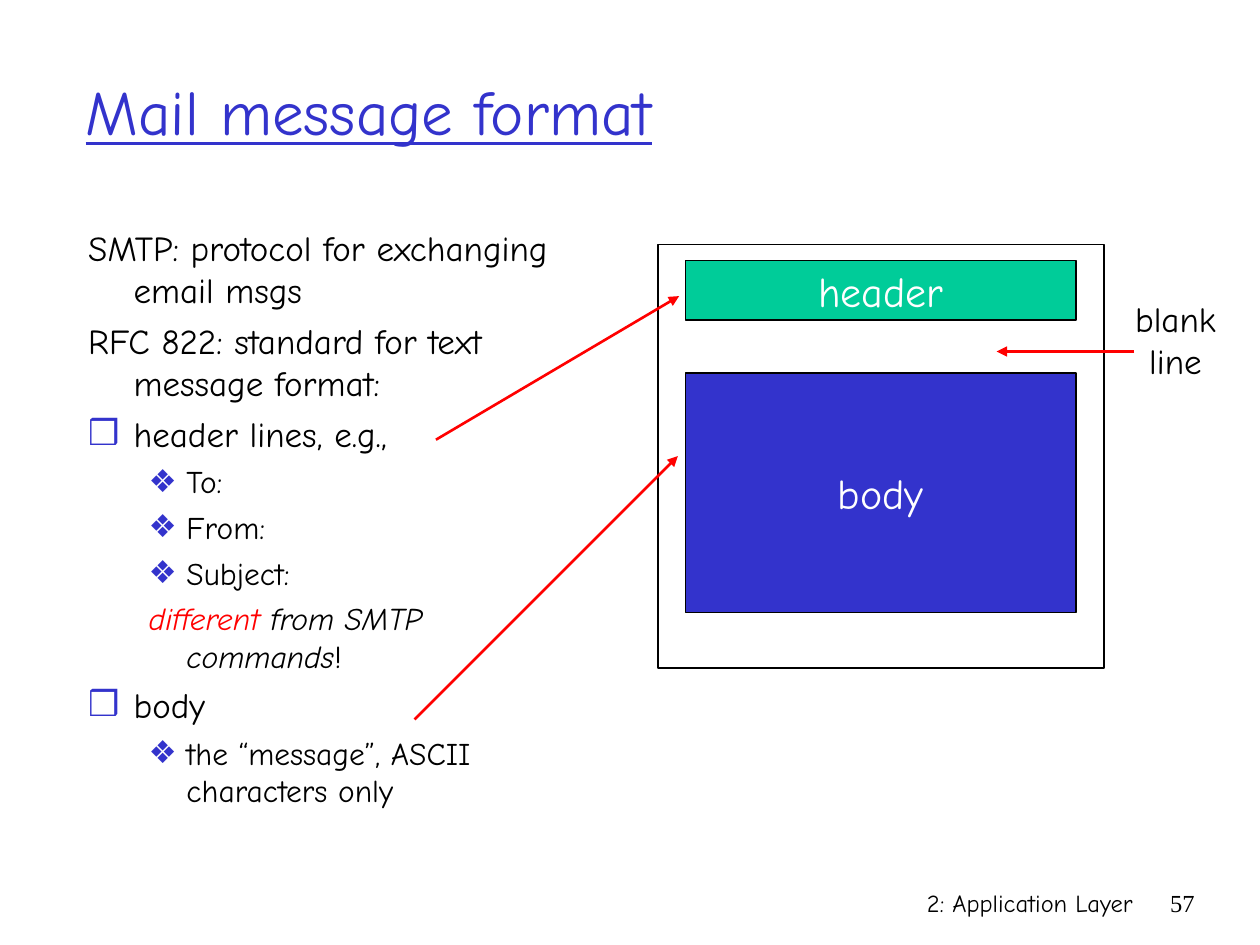
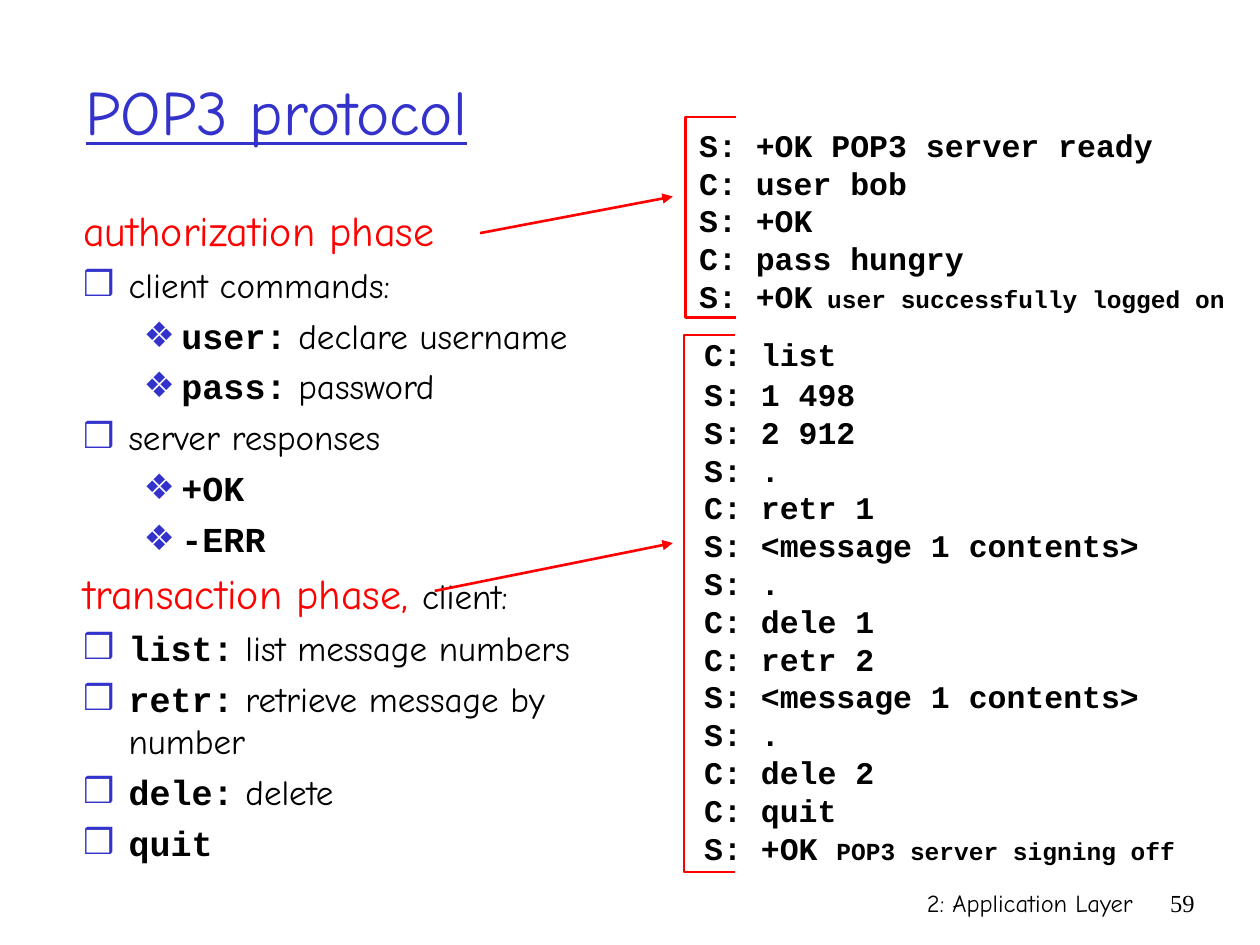
from lxml.etree import SubElement
from pptx import Presentation
from pptx.dml.color import RGBColor
from pptx.enum.shapes import MSO_CONNECTOR, MSO_SHAPE
from pptx.enum.text import MSO_ANCHOR as Anchor, MSO_AUTO_SIZE as AutoSize, PP_ALIGN as Align
from pptx.oxml.ns import qn
from pptx.util import Inches, Pt

COLORS = {"ink": "000000", "blue": "3333CC", "green": "00CC99", "red": "FF0000", "white": "FFFFFF"}
HAND, CODE, SERIF = "Comic Neue", "Courier New", "Times New Roman"
COLUMNS, ROWS = 100, 75
SLIDE_WIDTH, SLIDE_HEIGHT = Inches(10), Inches(7.5)
CELL = SLIDE_WIDTH / COLUMNS
CODE_LINE = 21.6

BULLETS = {"box": "❒", "diamond": "❖", None: None}
INDENTS = [(0.38, -0.36), (0.8, -0.3)]
RED_HEAD = {"size": 24, "color": "red"}
COMMAND = {"name": CODE, "bold": True}
SMALL = {"size": 14}


def grid(*cells):
    return [round(cell * CELL) for cell in cells]


def color(name):
    return RGBColor.from_string(COLORS[name])


def set_font(font, **style):
    for key, value in style.items():
        if key == "color":
            font.color.rgb = color(value)
        else:
            setattr(font, key, Pt(value) if key == "size" else value)


def write(para, spans, align=Align.LEFT, **style):
    para.alignment = align
    set_font(para.font, **{"name": HAND, "size": 20, "color": "ink", **style})
    for text, changes in spans:
        span = para.add_run()
        span.text = text
        set_font(span.font, **changes)


def paragraphs(frame, count):
    return [frame.paragraphs[0]] + [frame.add_paragraph() for _ in range(count - 1)]


def place(box, left, top, width, height):
    box.left, box.top, box.width, box.height = grid(left, top, width, height)
    box.text_frame.auto_size = AutoSize.NONE
    box.text_frame.word_wrap = True


def add_text(page, area, lines, **style):
    box = page.shapes.add_textbox(*grid(*area))
    box.text_frame.word_wrap = True
    paras = paragraphs(box.text_frame, len(lines))
    for para, spans in zip(paras, lines):
        write(para, spans, **style)
    return paras


def set_bullet(para, bullet, level):
    margin, indent = INDENTS[level]
    props = para._p.get_or_add_pPr()
    props.set("marL", str(Inches(margin)))
    props.set("indent", str(Inches(indent)))
    if bullet:
        tint = SubElement(props, qn("a:buClr"))
        SubElement(tint, qn("a:srgbClr")).set("val", COLORS["blue"])
        mark = SubElement(props, qn("a:buChar"))
        mark.set("char", bullet)
    else:
        SubElement(props, qn("a:buNone"))
    fonts = props.find(qn("a:defRPr"))
    if fonts is not None:
        props.append(fonts)


def add_list(page, area, items):
    body = page.placeholders[1]
    place(body, *area)
    for para, (level, bullet, size, spans) in zip(paragraphs(body.text_frame, len(items)), items):
        para.level = level
        para.space_before = Pt(size / 4)
        write(para, spans, size=size)
        set_bullet(para, BULLETS[bullet], level)


def add_page(deck, title, number):
    page = deck.slides.add_slide(deck.slide_layouts[1])
    heading = page.shapes.title
    place(heading, 5.8, 2.5, 85, 12.5)
    heading.text_frame.vertical_anchor = Anchor.MIDDLE
    write(heading.text_frame.paragraphs[0], [(title, {})], size=36, color="blue", underline=True)
    footer_top, footer_height = ROWS - 5, 5
    add_text(page, (59.2, footer_top, 31.7, footer_height), [[("2: Application Layer", {})]],
             align=Align.RIGHT, size=14)
    add_text(page, (90.8, footer_top, 5, footer_height), [[(number, {})]],
             align=Align.RIGHT, size=14, name=SERIF)
    return page


def add_block(page, area, fill=None, label=None, weight=0.75):
    block = page.shapes.add_shape(MSO_SHAPE.RECTANGLE, *grid(*area))
    block.shadow.inherit = False
    block.line.color.rgb = color("ink")
    block.line.width = Pt(weight)
    if fill:
        block.fill.solid()
        block.fill.fore_color.rgb = color(fill)
    else:
        block.fill.background()
    if label:
        block.text_frame.vertical_anchor = Anchor.MIDDLE
        write(block.text_frame.paragraphs[0], [(label, {})], align=Align.CENTER, size=24, color="white")


def red_line(shape):
    shape.line.color.rgb = color("red")
    shape.line.width = Pt(1.5)


def add_arrow(page, start, end):
    arrow = page.shapes.add_connector(MSO_CONNECTOR.STRAIGHT, *grid(*start, *end))
    red_line(arrow)
    SubElement(arrow.line._get_or_add_ln(), qn("a:tailEnd")).set("type", "triangle")
    SubElement(arrow._element.spPr, qn("a:effectLst"))


def add_bracket(page, left, top, bottom, arm=4):
    corners = [grid(*corner) for corner in
               [(left + arm, top), (left, top), (left, bottom), (left + arm, bottom)]]
    builder = page.shapes.build_freeform(*corners[0])
    builder.add_line_segments(corners[1:], close=False)
    bracket = builder.convert_to_shape()
    bracket.shadow.inherit = False
    bracket.fill.background()
    red_line(bracket)


def add_session(page, left, top, height, lines):
    area = (left, top, COLUMNS - left, height)
    paras = add_text(page, area, lines, name=CODE, size=18, bold=True)
    for para in paras:
        para.line_spacing = Pt(CODE_LINE)
    return paras


def plain(*lines):
    return [[(line, {})] for line in lines]


def command(name, meaning=""):
    return [(name, COMMAND)] + ([(" " + meaning, {})] if meaning else [])


def mail_page(deck):
    page = add_page(deck, "Mail message format", "57")
    add_list(page, (5.8, 17.5, 41.7, 50.8), [
        (0, None, 20, [("SMTP: protocol for exchanging email msgs", {})]),
        (0, None, 20, [("RFC 822: standard for text message format:", {})]),
        (0, "box", 20, [("header lines, e.g.,", {})]),
        *[(1, "diamond", 18, [(field, {})]) for field in ("To:", "From:", "Subject:")],
        (1, None, 18, [("different ", {"color": "red", "italic": True}),
                       ("from SMTP commands", {"italic": True}), ("!", {})]),
        (0, "box", 20, [("body", {})]),
        (1, "diamond", 18, [("the “message”, ASCII characters only", {})]),
    ])
    add_block(page, (54.4, 20.7, 31, 4.7), "green", "header")
    add_block(page, (54.4, 29.6, 31, 19), "blue", "body")
    add_block(page, (52.2, 19.4, 35.4, 33.6), weight=1)
    add_arrow(page, (34.6, 34.9), (53.9, 23.5))
    add_arrow(page, (32.9, 57.1), (53.8, 36.2))
    add_text(page, (88.6, 23.1, 9.4, 7.7), plain("blank", "line"), align=Align.CENTER)
    add_arrow(page, (90, 27.9), (79.1, 27.9))


def pop3_page(deck):
    page = add_page(deck, "POP3 protocol", "59")
    add_list(page, (5.4, 15.7, 43.4, 53.3), [
        (0, None, 20, [("authorization phase", RED_HEAD)]),
        (0, "box", 20, [("client commands:", {})]),
        (1, "diamond", 20, command("user:", "declare username")),
        (1, "diamond", 20, command("pass:", "password")),
        (0, "box", 20, [("server responses", {})]),
        (1, "diamond", 20, command("+OK")),
        (1, "diamond", 20, command("-ERR")),
        (0, None, 20, [("transaction phase, ", RED_HEAD), ("client:", {})]),
        (0, "box", 20, command("list:", "list message numbers")),
        (0, "box", 20, command("retr:", "retrieve message by number")),
        (0, "box", 20, command("dele:", "delete")),
        (0, "box", 20, command("quit")),
    ])
    add_session(page, 54.5, 9.5, 15.7, [
        *plain("S: +OK POP3 server ready", "C: user bob", "S: +OK", "C: pass hungry"),
        [("S: +OK", {}), (" user successfully logged on", SMALL)],
    ])
    transaction = add_session(page, 54.9, 26.1, 43, [
        *plain("C: list", "S: 1 498", "S: 2 912", "S: .", "C: retr 1",
               "S: <message 1 contents>", "S: .", "C: dele 1", "C: retr 2",
               "S: <message 1 contents>", "S: .", "C: dele 2", "C: quit"),
        [("S: +OK ", {}), ("POP3 server signing off", SMALL)],
    ])
    transaction[0].space_after = Pt(1.3)
    add_bracket(page, 54.4, 9.3, 25.2)
    add_arrow(page, (38.1, 18.5), (53.4, 15.6))
    add_bracket(page, 54.3, 26.6, 69.2)
    add_arrow(page, (34.5, 46.9), (53.4, 43.1))


def main():
    deck = Presentation()
    deck.slide_width, deck.slide_height = SLIDE_WIDTH, SLIDE_HEIGHT
    mail_page(deck)
    pop3_page(deck)
    deck.save("out.pptx")


if __name__ == "__main__":
    main()
